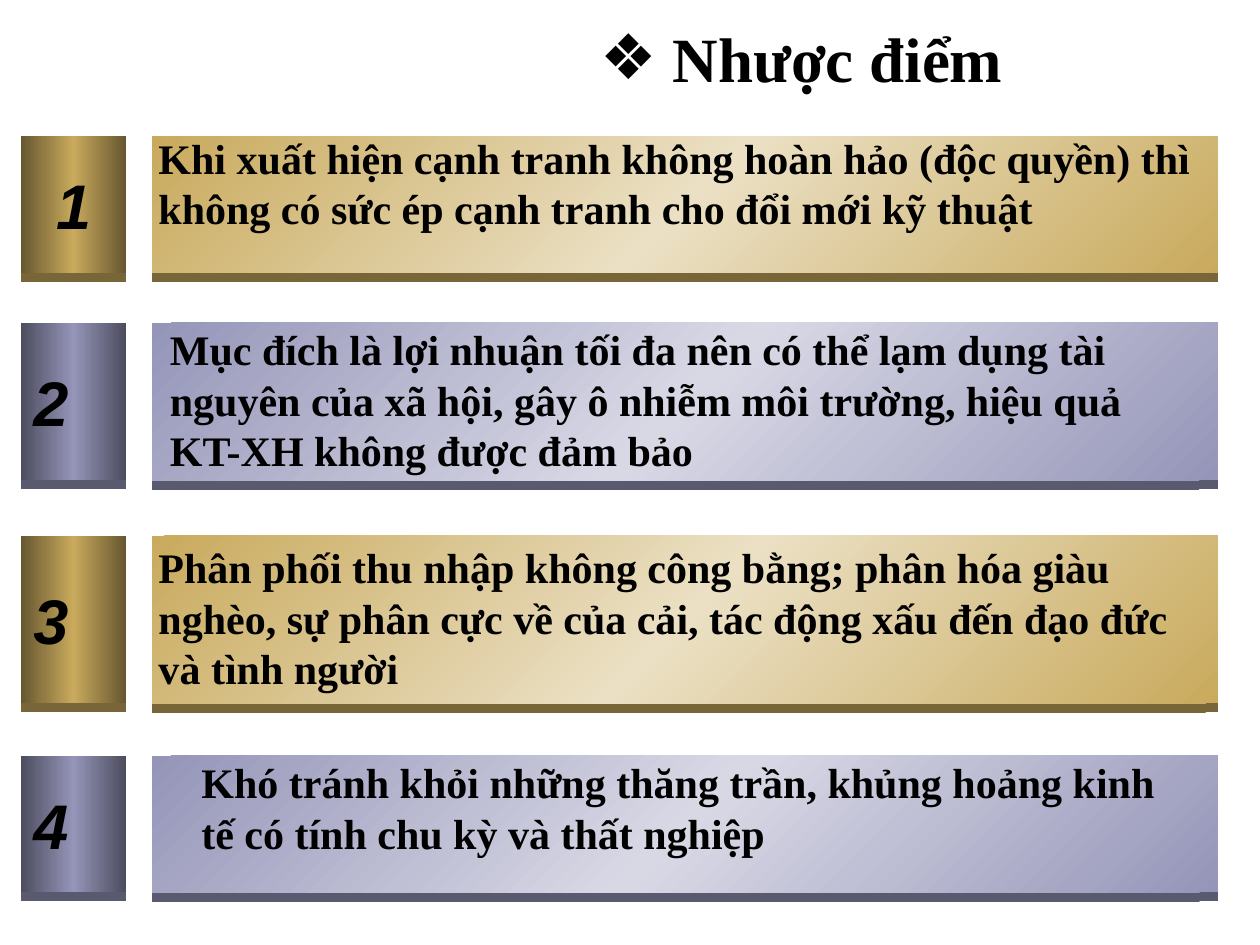
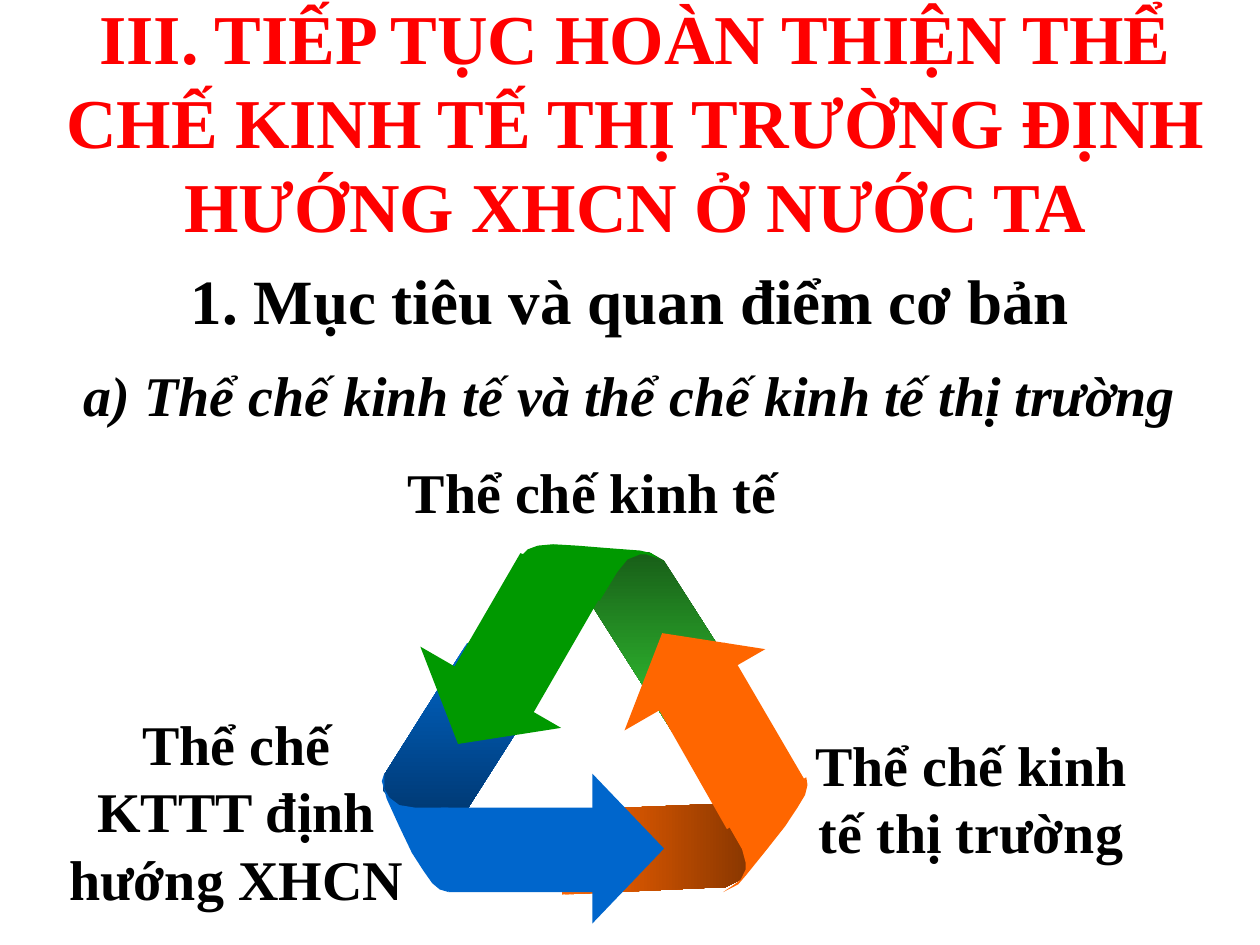
from dataclasses import dataclass

from lxml import etree
from pptx import Presentation
from pptx.dml.color import RGBColor
from pptx.enum.shapes import MSO_SHAPE
from pptx.enum.text import MSO_ANCHOR, MSO_AUTO_SIZE, PP_ALIGN
from pptx.oxml.ns import qn
from pptx.util import Pt

RECT, TRIANGLE = MSO_SHAPE.RECTANGLE, MSO_SHAPE.ISOSCELES_TRIANGLE
LEFT, CENTER = PP_ALIGN.LEFT, PP_ALIGN.CENTER
TOP, MIDDLE = MSO_ANCHOR.TOP, MSO_ANCHOR.MIDDLE
NO_AUTOFIT = MSO_AUTO_SIZE.NONE

SERIF, SANS = "Times New Roman", "Arial"
BLACK, RED = "000000", "FF0000"
BLUE, GREEN, ORANGE = "0066CC", "009900", "FF6600"
TITLE_ONLY = 5
BADGE_LEFT, BADGE_WIDTH = 12, 60
BAR_LEFT, BAR_WIDTH = 87, 609


@dataclass(frozen=True)
class Metal:
    base: str
    light: str
    dark: str
    shadow: str


GOLD = Metal("C9AA5D", "EBE0C4", "675730", "796638")
STEEL = Metal("9595B9", "D8D8E5", "4D4D5F", "59596F")


@dataclass(frozen=True)
class Drawback:
    top: float
    height: float
    metal: Metal
    text: str
    text_box: tuple
    badge_align: PP_ALIGN = LEFT


@dataclass(frozen=True)
class Piece:
    """A flat or shaded outline of the arrow cycle."""
    points: tuple
    colors: tuple
    angle: int = 0


@dataclass(frozen=True)
class Head:
    box: tuple
    rotation: int
    color: str


@dataclass(frozen=True)
class Label:
    box: tuple
    text: str
    size: int = 32
    italic: bool = False
    anchor: MSO_ANCHOR = TOP


DRAWBACKS = (
    Drawback(78, 78, GOLD,
             "Khi xuất hiện cạnh tranh không hoàn hảo (độc quyền) thì "
             "không có sức ép cạnh tranh cho đổi mới kỹ thuật",
             (83.5, 72, 606, 65), CENTER),
    Drawback(184.5, 90, STEEL,
             "Mục đích là lợi nhuận tối đa nên có thể lạm dụng tài nguyên "
             "của xã hội, gây ô nhiễm môi trường, hiệu quả KT-XH không được "
             "đảm bảo",
             (90, 181.5, 594, 94)),
    Drawback(306, 96, GOLD,
             "Phân phối thu nhập không công bằng; phân hóa giàu nghèo, sự "
             "phân cực về của cải, tác động xấu đến đạo đức và tình người",
             (83.5, 306, 606, 94)),
    Drawback(432, 78, STEEL,
             "Khó tránh khỏi những thăng trần, khủng hoảng kinh tế có tính "
             "chu kỳ và thất nghiệp",
             (108, 429, 567, 65)),
)

BLUE_TAIL = Piece(((312.5, 391), (250.6, 488.2), (218.9, 451.4),
                   (219.6, 442.8), (267.1, 367.2)), (BLUE, "002F5E"), 90)
GREEN_TAIL = Piece(((386.6, 421.9), (321.1, 319), (370.8, 315.4),
                    (379.4, 320.4), (429.8, 399.6)), ("185E18", "33CC33"), 90)
ORANGE_TAIL = Piece(((323.3, 463), (445, 457.9), (423.4, 502.6),
                     (414.7, 506.9), (321.1, 511.2)), (ORANGE, "762F00"))
GREEN_BODY = Piece(((298.1, 419), (344.2, 339.1), (321.1, 325.4),
                    (297.4, 316.1), (252.7, 393.1)), (GREEN,))
ORANGE_BODY = Piece(((369.4, 393.1), (415.4, 473.8), (438.5, 460.1),
                     (459.4, 445), (414, 367.2)), (ORANGE,))
BLUE_BODY = Piece(((355.7, 461.5), (252, 461.5), (252.7, 486),
                   (256.3, 509.8), (355.7, 509.8)), (BLUE,))
GREEN_CURL = Piece((
    (342.7, 343.4), (298.1, 317.5), (301.7, 313.9), (307.4, 311.8),
    (316.1, 311), (329.8, 311.8), (347, 313.2), (365.8, 314.6),
    (372.2, 316.1), (380.2, 321.8), (375.8, 319), (369.4, 316.8),
    (365.8, 316.8), (358.6, 319.7), (352.8, 326.9)), (GREEN,))
ORANGE_CURL = Piece((
    (415.4, 470.2), (460.8, 444.2), (461.5, 448.6), (460.1, 454.3),
    (455.8, 461.5), (448.6, 472.3), (437.8, 486), (426.2, 500.4),
    (421.9, 505.4), (413.3, 509.8), (419.8, 505.4), (423.4, 502.6),
    (426.2, 496.8), (426.2, 493.2), (424.1, 485.3)), (ORANGE,))
BLUE_CURL = Piece((
    (256.3, 461.5), (256.3, 509.8), (251.3, 508.3), (247, 504.7),
    (241.9, 497.5), (235.4, 487.4), (228.2, 472.3), (221, 456.5),
    (218.2, 446.4), (219.6, 442.1), (219.6, 450.7), (222.5, 455.8),
    (228.2, 460.1), (236.9, 461.5)), (BLUE,))

CYCLE = (
    BLUE_TAIL, GREEN_TAIL,
    Head((224.6, 390.2, 92.9, 37.4), 210, GREEN), GREEN_BODY, GREEN_CURL,
    ORANGE_TAIL,
    Head((341.3, 359.3, 92.9, 37.4), 330, ORANGE), ORANGE_BODY, ORANGE_CURL,
    BLUE_CURL, Head((316.1, 464.4, 85.7, 41), 90, BLUE), BLUE_BODY,
)

LABELS = (
    Label((60, 132, 600, 78), "1. Mục tiêu và quan điểm cơ bản", 36,
          anchor=MIDDLE),
    Label((30, 186, 660, 78),
          "a) Thể chế kinh tế và thể chế kinh tế thị trường",
          italic=True, anchor=MIDDLE),
    Label((29, 402, 212, 122), "Thể chế KTTT định hướng XHCN"),
    Label((450, 414, 210, 84), "Thể chế kinh tế thị trường"),
    Label((210, 258, 257, 46), "Thể chế kinh tế"),
)


def rgb(color: str) -> RGBColor:
    return RGBColor.from_string(color)


def pts(box: tuple) -> list:
    return [Pt(v) for v in box]


def write(sp, text: str, *, size: float, font: str = SERIF,
          color: str = BLACK, italic: bool = False, align=LEFT,
          anchor=TOP, wrap: bool = True):
    tf = sp.text_frame
    tf.auto_size = NO_AUTOFIT
    tf.word_wrap = wrap
    tf.vertical_anchor = anchor
    p = tf.paragraphs[0]
    p.alignment = align
    r = p.add_run()
    r.text = text
    r.font.name, r.font.size = font, Pt(size)
    r.font.bold, r.font.italic = True, italic
    r.font.color.rgb = rgb(color)
    return p


def paint(sp, colors: tuple, angle: int = 0) -> None:
    """Fill with one colour, or with evenly spaced gradient stops."""
    sp.shadow.inherit = False
    sp.line.fill.background()
    if len(colors) == 1:
        sp.fill.solid()
        sp.fill.fore_color.rgb = rgb(colors[0])
        return
    sp.fill.gradient()
    sp.fill.gradient_angle = (360 - angle) % 360
    stops = next(sp._element.iter(qn("a:gsLst")))
    for old in list(stops):
        stops.remove(old)
    for i, color in enumerate(colors):
        gs = etree.SubElement(stops, qn("a:gs"),
                              pos=str(100000 * i // (len(colors) - 1)))
        etree.SubElement(gs, qn("a:srgbClr"), val=color)


def drop_shadow(sp, color: str) -> None:
    effects = next(sp._element.iter(qn("a:effectLst")))
    shadow = etree.SubElement(effects, qn("a:outerShdw"), blurRad="0",
                              dist=str(Pt(5)), dir="5400000", algn="ctr",
                              rotWithShape="0")
    etree.SubElement(shadow, qn("a:srgbClr"), val=color)


def add_plate(slide, box: tuple, colors: tuple, angle: int, shadow: str):
    sp = slide.shapes.add_shape(RECT, *pts(box))
    paint(sp, colors, angle)
    drop_shadow(sp, shadow)
    return sp


def add_drawback(slide, number: int, row: Drawback) -> None:
    m = row.metal
    add_plate(slide, (BAR_LEFT, row.top, BAR_WIDTH, row.height),
              (m.base, m.light, m.base), 45, m.shadow)
    badge = add_plate(slide, (BADGE_LEFT, row.top, BADGE_WIDTH, row.height),
                      (m.dark, m.base, m.dark), 0, m.shadow)
    write(badge, str(number), size=36, font=SANS, italic=True,
          align=row.badge_align, anchor=MIDDLE, wrap=False)
    write(slide.shapes.add_textbox(*pts(row.text_box)), row.text, size=24)


def add_piece(slide, piece: Piece) -> None:
    start, *rest = [pts(point) for point in piece.points]
    builder = slide.shapes.build_freeform(*start)
    builder.add_line_segments(rest, close=True)
    paint(builder.convert_to_shape(), piece.colors, piece.angle)


def add_head(slide, head: Head) -> None:
    sp = slide.shapes.add_shape(TRIANGLE, *pts(head.box))
    sp.rotation = head.rotation
    paint(sp, (head.color,))


def add_titled_slide(prs, box: tuple, text: str, **style):
    """Return a new slide and its title paragraph."""
    slide = prs.slides.add_slide(prs.slide_layouts[TITLE_ONLY])
    title = slide.shapes.title
    title.left, title.top, title.width, title.height = pts(box)
    return slide, write(title, text, anchor=MIDDLE, **style)


def add_bullet(p, char: str, color: str, indent: float) -> None:
    pPr = p._p.get_or_add_pPr()
    pPr.set("marL", str(Pt(indent)))
    pPr.set("indent", str(-Pt(indent)))
    bullet_color = etree.SubElement(pPr, qn("a:buClr"))
    etree.SubElement(bullet_color, qn("a:srgbClr"), val=color)
    etree.SubElement(pPr, qn("a:buFont"), typeface=SANS)
    etree.SubElement(pPr, qn("a:buChar"), char=char)


def build_drawbacks(prs) -> None:
    slide, p = add_titled_slide(prs, (336, 0, 252, 66), " Nhược điểm", size=36)
    add_bullet(p, "❖", BLACK, 31)
    for number, row in enumerate(DRAWBACKS, 1):
        add_drawback(slide, number, row)


def build_institutions(prs) -> None:
    slide, _ = add_titled_slide(
        prs, (18, 0, 690, 138),
        "III. TIẾP TỤC HOÀN THIỆN THỂ CHẾ KINH TẾ THỊ TRƯỜNG ĐỊNH HƯỚNG "
        "XHCN Ở NƯỚC TA", size=40, color=RED, align=CENTER)
    for part in CYCLE:
        if isinstance(part, Head):
            add_head(slide, part)
        else:
            add_piece(slide, part)
    for label in LABELS:
        write(slide.shapes.add_textbox(*pts(label.box)), label.text,
              size=label.size, italic=label.italic, align=CENTER,
              anchor=label.anchor)


def main() -> None:
    prs = Presentation()
    prs.slide_width, prs.slide_height = Pt(720), Pt(540)
    build_drawbacks(prs)
    build_institutions(prs)
    prs.save("out.pptx")


if __name__ == "__main__":
    main()
